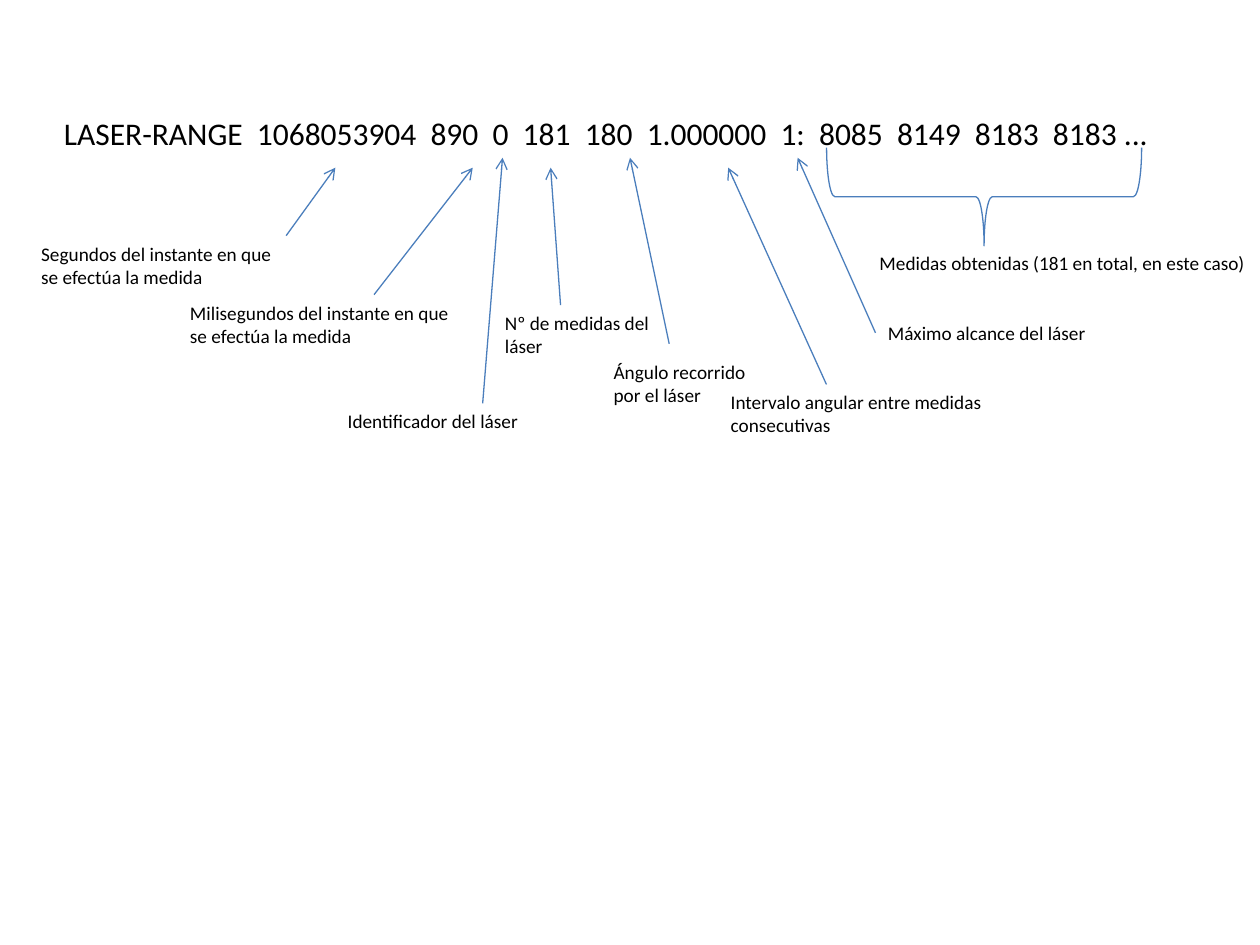
from pptx import Presentation
from pptx.dml.color import RGBColor
from pptx.enum.shapes import MSO_CONNECTOR as Link, MSO_SHAPE as Preset
from pptx.oxml.ns import qn
from pptx.util import Cm, Pt
from lxml.etree import SubElement

BLACK = RGBColor(0x00, 0x00, 0x00)
BLUE = RGBColor(0x4B, 0x7E, 0xBC)
FONT = "Calibri"
LINE_WIDTH = Pt(0.75)
ONE_LINE, TWO_LINES = 0.73, 1.19  # label heights in cm
HIGH_TIP, LOW_TIP = 3.18, 3.38  # arrow tips below the record, in cm

RECORD = ("LASER-RANGE  1068053904  890  0  181  180  1.000000  1:"
          "  8085  8149  8183  8183 ...")

# Text, left, top, width, height in cm
LABELS = [
    ("Segundos del instante en que se efectúa la medida", 0.58, 4.75, 5.36, TWO_LINES),
    ("Milisegundos del instante en que se efectúa la medida", 3.58, 5.94, 5.94, TWO_LINES),
    ("Identificador del láser", 6.76, 8.13, 5.94, ONE_LINE),
    ("Nº de medidas del láser", 9.93, 6.15, 3.96, TWO_LINES),
    ("Ángulo recorrido por el láser", 12.12, 7.14, 3.58, TWO_LINES),
    ("Intervalo angular entre medidas consecutivas", 14.48, 7.75, 5.94, TWO_LINES),
    ("Máximo alcance del láser", 17.65, 6.35, 5.16, ONE_LINE),
    ("Medidas obtenidas (181 en total, en este caso)", 17.48, 4.95, 7.94, ONE_LINE),
]

# Start x, start y, tip x, tip y in cm
ARROWS = [
    (5.77, 4.75, 6.76, LOW_TIP),
    (7.54, 5.94, 9.53, LOW_TIP),
    (9.73, 8.13, 10.13, HIGH_TIP),
    (11.3, 6.15, 11.1, LOW_TIP),
    (13.49, 6.93, 12.7, HIGH_TIP),
    (16.66, 7.75, 14.68, LOW_TIP),
    (17.65, 6.71, 16.08, HIGH_TIP),
]


def add_text(page, text, left, top, width, height, size=11):
    box = page.shapes.add_textbox(Cm(left), Cm(top), Cm(width), Cm(height))
    box.text_frame.word_wrap = True
    box.text_frame.text = text
    font = box.text_frame.paragraphs[0].runs[0].font
    font.name = FONT
    font.size = Pt(size)
    font.color.rgb = BLACK


def style_line(line):
    line.color.rgb = BLUE
    line.width = LINE_WIDTH


def add_arrow(page, *ends):
    arrow = page.shapes.add_connector(Link.STRAIGHT, *map(Cm, ends))
    style_line(arrow.line)
    properties = arrow._element.spPr
    SubElement(properties.find(qn("a:ln")), qn("a:tailEnd"), type="arrow")
    SubElement(properties, qn("a:effectLst"))


def add_brace(page, left, top, width, height):
    brace = page.shapes.add_shape(Preset.LEFT_BRACE, Cm(left), Cm(top), Cm(width), Cm(height))
    brace.rotation = 270
    brace.shadow.inherit = False
    brace.fill.background()
    style_line(brace.line)


def main():
    deck = Presentation()
    deck.slide_width, deck.slide_height = Cm(25.4), Cm(19.05)
    page = deck.slides.add_slide(deck.slide_layouts[6])

    # Laser record
    add_text(page, RECORD, 1.04, 2.18, 23.32, 1.02, size=18)

    # Pointers from the labels to the fields
    for arrow in ARROWS:
        add_arrow(page, *arrow)
    add_brace(page, 18.85, 0.79, 1.98, 6.35)

    # Field labels
    for label in LABELS:
        add_text(page, *label)

    deck.save("out.pptx")


main()
